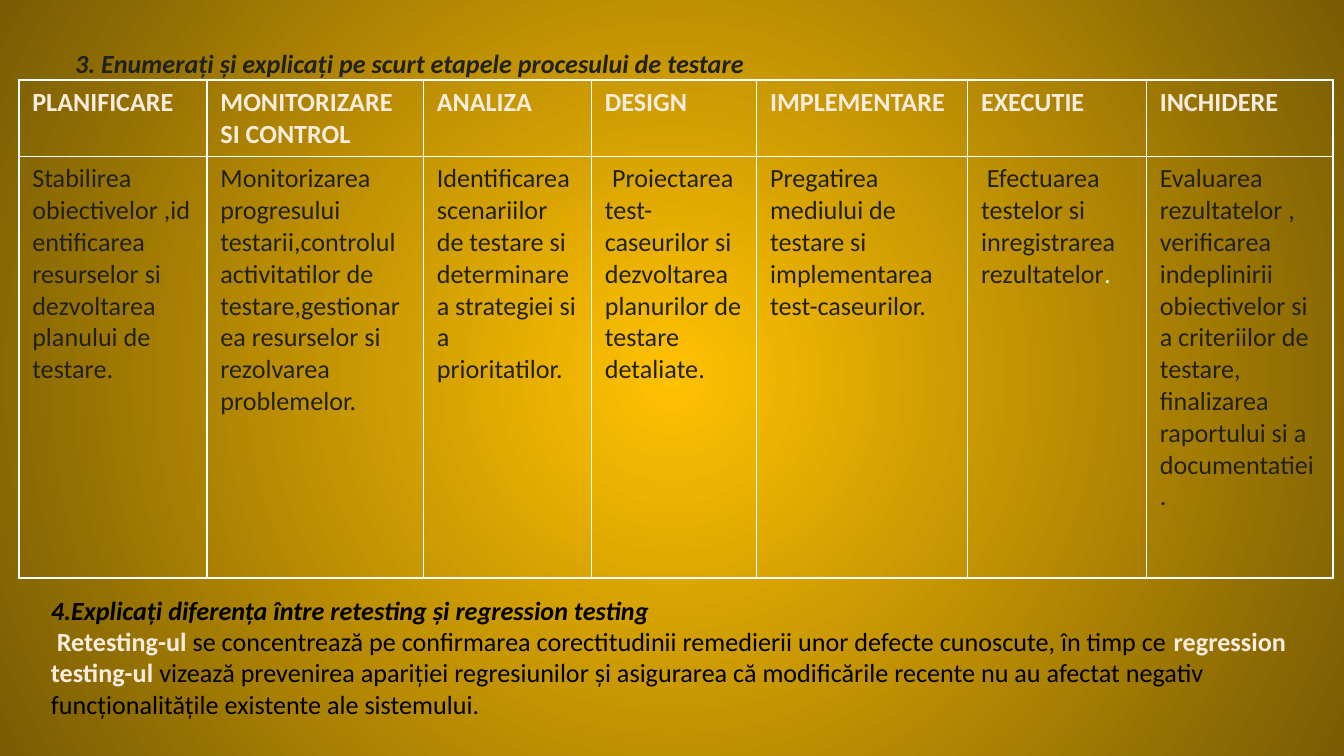
from lxml import etree
from pptx import Presentation
from pptx.dml.color import RGBColor
from pptx.enum.text import MSO_ANCHOR
from pptx.oxml.ns import qn
from pptx.util import Inches, Pt

TOP = MSO_ANCHOR.TOP
WIDE = 10
HIGH = WIDE * 9 / 16
DARK, CREAM, WHITE, BLACK = "212121", "FCEDE0", "FFFFFF", "000000"
FONT = {"size": Pt(14), "name": "Calibri", "bold": False, "italic": False}
HEAD = {"bold": True, "color": CREAM}
BODY = {"color": DARK}
PLAIN = {"color": BLACK}
TITLE = {"bold": True, "italic": True}
COLS = [1.4, 1.61, 1.25, 1.23, 1.57, 1.33, 1.39]
ROWS = [0.57, 3.14]

STAGES = [
    ("PLANIFICARE", [("Stabilirea obiectivelor ,identificarea resurselor si dezvoltarea planului de testare.", BODY)]),
    ("MONITORIZARE SI CONTROL", [("Monitorizarea progresului testarii,controlul activitatilor de testare,gestionarea resurselor si rezolvarea problemelor.", BODY)]),
    ("ANALIZA", [("Identificarea scenariilor de testare si determinarea strategiei si a prioritatilor.", BODY)]),
    ("DESIGN", [
        (" ", {"name": "Arial", "bold": True, "color": DARK}),
        ("Proiectarea test-caseurilor si dezvoltarea planurilor de testare detaliate.", BODY),
    ]),
    ("IMPLEMENTARE", [("Pregatirea mediului de testare si implementarea test-caseurilor.", BODY)]),
    ("EXECUTIE", [
        (" ", {"bold": True, "color": DARK}),
        ("Efectuarea testelor si inregistrarea rezultatelor", BODY),
        (".", {"name": "Arial", "color": WHITE}),
    ]),
    ("INCHIDERE", [("Evaluarea rezultatelor , verificarea indeplinirii obiectivelor si a criteriilor de testare, finalizarea raportului si a documentatiei.", BODY)]),
]
ASK = [[("3. Enumerați și explicați pe scurt etapele procesului de testare", {**TITLE, "color": DARK})]]
REPLY = [
    [("4.Explicați diferența între retesting și regression testing", {**TITLE, "color": BLACK})],
    [
        (" ", {"bold": True, "color": BLACK}),
        ("Retesting-ul ", HEAD),
        ("se concentrează pe confirmarea corectitudinii remedierii unor defecte cunoscute, în timp ce ", PLAIN),
        ("regression testing-ul ", HEAD),
        ("vizează prevenirea apariției regresiunilor și asigurarea că modificările recente nu au afectat negativ funcționalitățile existente ale sistemului.", PLAIN),
    ],
]


def paint(target, code):
    target.rgb = RGBColor.from_string(code)


def place(left, top, width, height):
    shares = zip((left, top, width, height), (WIDE, HIGH) * 2)
    return [Inches(share * side / 100) for share, side in shares]


def write(frame, paras):
    for i, runs in enumerate(paras):
        para = frame.add_paragraph() if i else frame.paragraphs[0]
        for text, style in runs:
            run = para.add_run()
            run.text = text
            look = {**FONT, **style}
            paint(run.font.color, look.pop("color"))
            for key, value in look.items():
                setattr(run.font, key, value)


def add_text(slide, box, paras, inset=0.05):
    frame = slide.shapes.add_textbox(*place(*box)).text_frame
    form = {
        "word_wrap": True, "vertical_anchor": TOP,
        "margin_top": Inches(inset), "margin_bottom": Inches(inset),
    }
    for key, value in form.items():
        setattr(frame, key, value)
    write(frame, paras)
    return frame


def edge(cell):
    props = cell._tc.get_or_add_tcPr()
    for side in "LRTB":
        line = etree.SubElement(props, qn("a:ln" + side), w=str(Pt(1)))
        fill = etree.SubElement(line, qn("a:solidFill"))
        etree.SubElement(fill, qn("a:srgbClr"), val=WHITE)
    cell.fill.background()


def add_grid(slide, box):
    table = slide.shapes.add_table(len(ROWS), len(COLS), *place(*box)).table
    table.horz_banding = False
    for col, width in zip(table.columns, COLS):
        col.width = Inches(width)
    for row, height in zip(table.rows, ROWS):
        row.height = Inches(height)
    for i, (name, runs) in enumerate(STAGES):
        for j, part in enumerate(([(name, HEAD)], runs)):
            cell = table.cell(j, i)
            edge(cell)
            write(cell.text_frame, [part])


def add_glow(slide, inner, outer):
    fill = slide.background.fill
    fill.gradient()
    for stop, code, spot in zip(fill.gradient_stops, (inner, outer), (0, 1)):
        paint(stop.color, code)
        stop.position = spot
    grad = slide.background._cSld.find(".//" + qn("a:gradFill"))
    grad.remove(grad.find(qn("a:lin")))
    route = etree.SubElement(grad, qn("a:path"), path="circle")
    etree.SubElement(route, qn("a:fillToRect"), {side: "50000" for side in "ltrb"})


def main():
    deck = Presentation()
    deck.slide_width, deck.slide_height = Inches(WIDE), Inches(HIGH)
    slide = deck.slides.add_slide(deck.slide_layouts[6])
    add_glow(slide, "FFC102", "795C04")
    frame = add_text(slide, (3.4, 3.9, 93.2, 92.8), ASK, 0.1)
    para = frame.paragraphs[0]
    para.line_spacing = 1.15
    para._p.get_or_add_pPr().set("marL", str(Inches(0.12)))
    add_grid(slide, (1.4, 10.55, 97.8, 66))
    add_text(slide, (2.8, 77.7, 94.5, 26.9), REPLY)
    deck.save("out.pptx")


if __name__ == "__main__":
    main()
